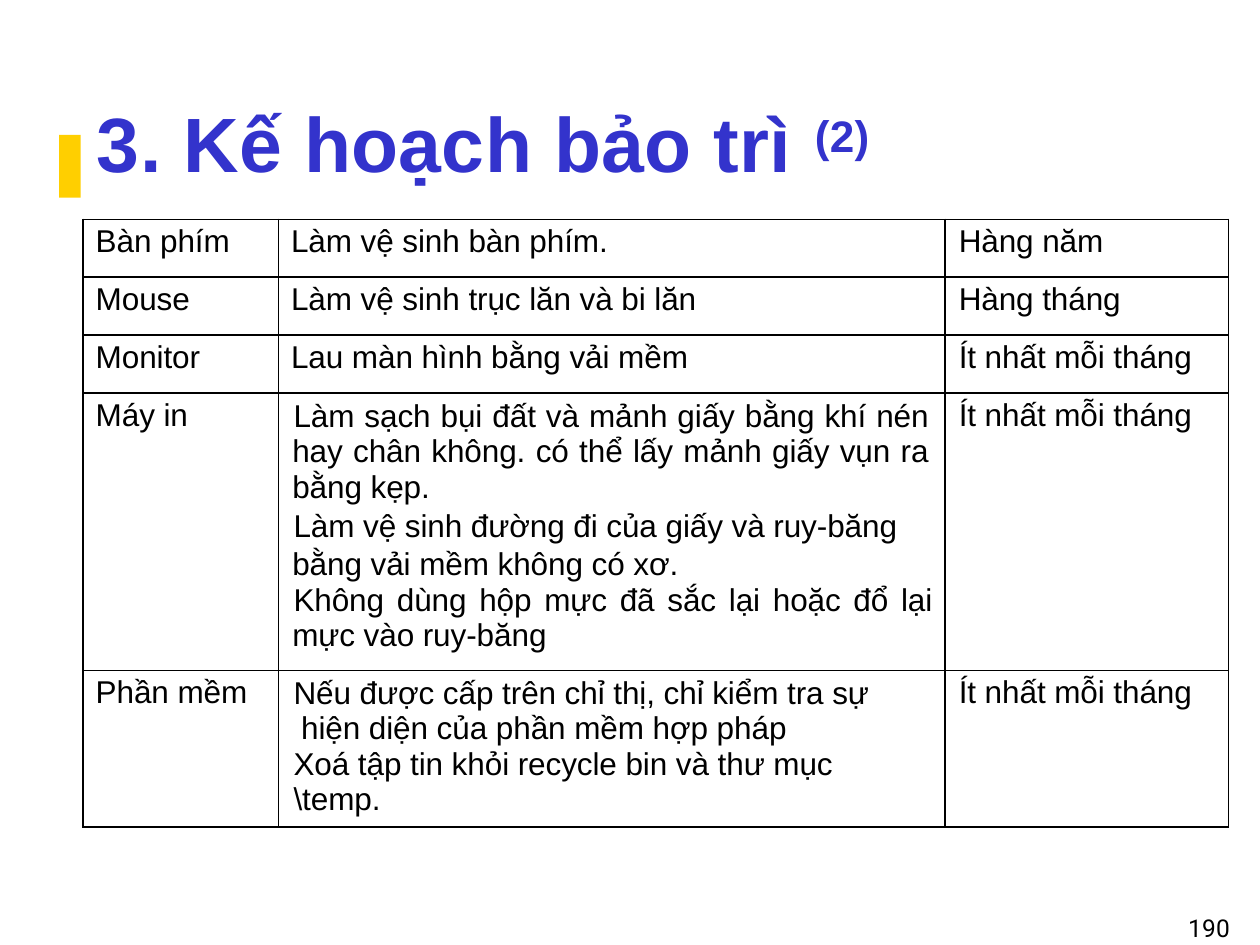
from dataclasses import dataclass

from lxml.etree import SubElement
from pptx import Presentation
from pptx.dml.color import RGBColor
from pptx.enum.shapes import MSO_SHAPE as Preset
from pptx.enum.text import PP_ALIGN as Align
from pptx.oxml.ns import qn
from pptx.util import Inches, Pt

BLACK = RGBColor(0x00, 0x00, 0x00)
BLUE = RGBColor(0x33, 0x33, 0xCC)
GOLD = RGBColor(0xFF, 0xCF, 0x00)
COLUMN_WIDTHS = (1.55, 5.29, 2.25)
MONTHLY = "Ít nhất mỗi tháng"


@dataclass(frozen=True)
class Step:
    text: str
    align: Align = Align.LEFT
    left: float = 0.1
    right: float = 0
    indent: float = 0
    line: float | Pt | None = None
    before: float = 0


@dataclass(frozen=True)
class Device:
    name: str
    steps: tuple[Step, ...]
    interval: str
    height: float = 0.46


DEVICES = (
    Device("Bàn phím", (Step("Làm vệ sinh bàn phím."),), "Hàng năm"),
    Device("Mouse", (Step("Làm vệ sinh trục lăn và bi lăn"),), "Hàng tháng"),
    Device("Monitor", (Step("Lau màn hình bằng vải mềm"),), MONTHLY),
    Device("Máy in", (
        Step("Làm sạch bụi đất và mảnh giấy bằng khí nén hay chân không. "
             "có thể lấy mảnh giấy vụn ra bằng kẹp.",
             Align.JUSTIFY, 0.11, 0.13, 0.01, 1.01),
        Step("Làm vệ sinh đường đi của giấy và ruy-băng "
             "bằng vải mềm không có xơ.",
             left=0.11, indent=0.01, line=Pt(21.8), before=0.8),
        Step("Không dùng hộp mực đã sắc lại hoặc đổ lại mực vào ruy-băng",
             Align.JUSTIFY, 0.11, 0.1, 0.01, Pt(20.2)),
    ), MONTHLY, 2.2),
    Device("Phần mềm", (
        Step("Nếu được cấp trên chỉ thị, chỉ kiểm tra sự "
             "hiện diện của phần mềm hợp pháp",
             left=0.18, right=0.5, indent=-0.06, line=1.01),
        Step("Xoá tập tin khỏi recycle bin và thư mục \\temp.",
             left=0.12, right=0.5),
    ), MONTHLY, 1.24),
)


def add_text(paragraph, text: str, *, size: float = 18, font: str = "Arial",
             color: RGBColor = BLACK, bold: bool = False,
             spacing: float = 0, baseline: int = 0) -> None:
    run = paragraph.add_run()
    run.text = text
    run.font.size = Pt(size)
    run.font.name = font
    run.font.bold = bold
    run.font.color.rgb = color
    properties = run.font._element
    if spacing:
        properties.set("spc", str(round(spacing * 100)))
    if baseline:
        properties.set("baseline", str(baseline * 1000))


def add_line_box(slide, left: float, top: float, width: float,
                 height: float, inset: float):
    frame = slide.shapes.add_textbox(
        Inches(left), Inches(top), Inches(width), Inches(height)).text_frame
    frame.word_wrap = True
    frame.margin_left = frame.margin_right = frame.margin_bottom = 0
    frame.margin_top = Inches(inset)
    line = frame.paragraphs[0]
    set_indent(line, 0.04)
    return line


def set_indent(paragraph, left: float, right: float = 0,
               indent: float = 0) -> None:
    properties = paragraph._p.get_or_add_pPr()
    for key, value in (("marL", left), ("marR", right), ("indent", indent)):
        properties.set(key, str(Inches(value)))


def draw_borders(cell) -> None:
    properties = cell._tc.get_or_add_tcPr()
    for side in ("lnL", "lnR", "lnT", "lnB"):
        border = SubElement(properties, qn(f"a:{side}"), w=str(Pt(1)))
        fill = SubElement(border, qn("a:solidFill"))
        SubElement(fill, qn("a:srgbClr"), val=str(BLACK))


def fill_cell(cell, steps: tuple[Step, ...]) -> None:
    draw_borders(cell)
    cell.fill.background()
    cell.margin_left = cell.margin_right = cell.margin_bottom = 0
    cell.margin_top = Inches(0.04)
    frame = cell.text_frame
    for number, step in enumerate(steps):
        paragraph = frame.add_paragraph() if number else frame.paragraphs[0]
        set_indent(paragraph, step.left, step.right, step.indent)
        paragraph.alignment = step.align
        if step.line:
            paragraph.line_spacing = step.line
        if step.before:
            paragraph.space_before = Pt(step.before)
        add_text(paragraph, step.text, spacing=-0.05)


def draw_plan(slide, devices: tuple[Device, ...]) -> None:
    plan = slide.shapes.add_table(
        len(devices), len(COLUMN_WIDTHS), Inches(0.66), Inches(1.74),
        Inches(sum(COLUMN_WIDTHS)),
        Inches(sum(device.height for device in devices))).table
    plan.first_row = plan.horz_banding = False
    for column, width in zip(plan.columns, COLUMN_WIDTHS):
        column.width = Inches(width)
    for row, device in zip(plan.rows, devices):
        row.height = Inches(device.height)
        contents = ((Step(device.name),), device.steps,
                    (Step(device.interval, left=0.11),))
        for cell, steps in zip(row.cells, contents):
            fill_cell(cell, steps)


def main() -> None:
    """Build the maintenance plan slide."""
    deck = Presentation()
    deck.slide_width, deck.slide_height = Inches(10), Inches(7.5)
    slide = deck.slides.add_slide(deck.slide_layouts[6])

    accent = slide.shapes.add_shape(
        Preset.RECTANGLE, Inches(0.47), Inches(1.07), Inches(0.17), Inches(0.5))
    accent.shadow.inherit = False
    accent.fill.solid()
    accent.fill.fore_color.rgb = GOLD
    accent.line.fill.background()

    title = add_line_box(slide, 0.73, 0.68, 6.23, 0.77, 0.08)
    add_text(title, "3. Kế hoạch bảo trì ", size=44, color=BLUE, bold=True,
             spacing=0.2)
    add_text(title, "(2)", size=43.5, color=BLUE, bold=True, spacing=0.2,
             baseline=26)

    draw_plan(slide, DEVICES)

    page_number = add_line_box(slide, 9.39, 7.21, 0.4, 0.27, 0.04)
    add_text(page_number, "190", size=14, font="Roboto", spacing=0.1)
    deck.save("out.pptx")


if __name__ == "__main__":
    main()
